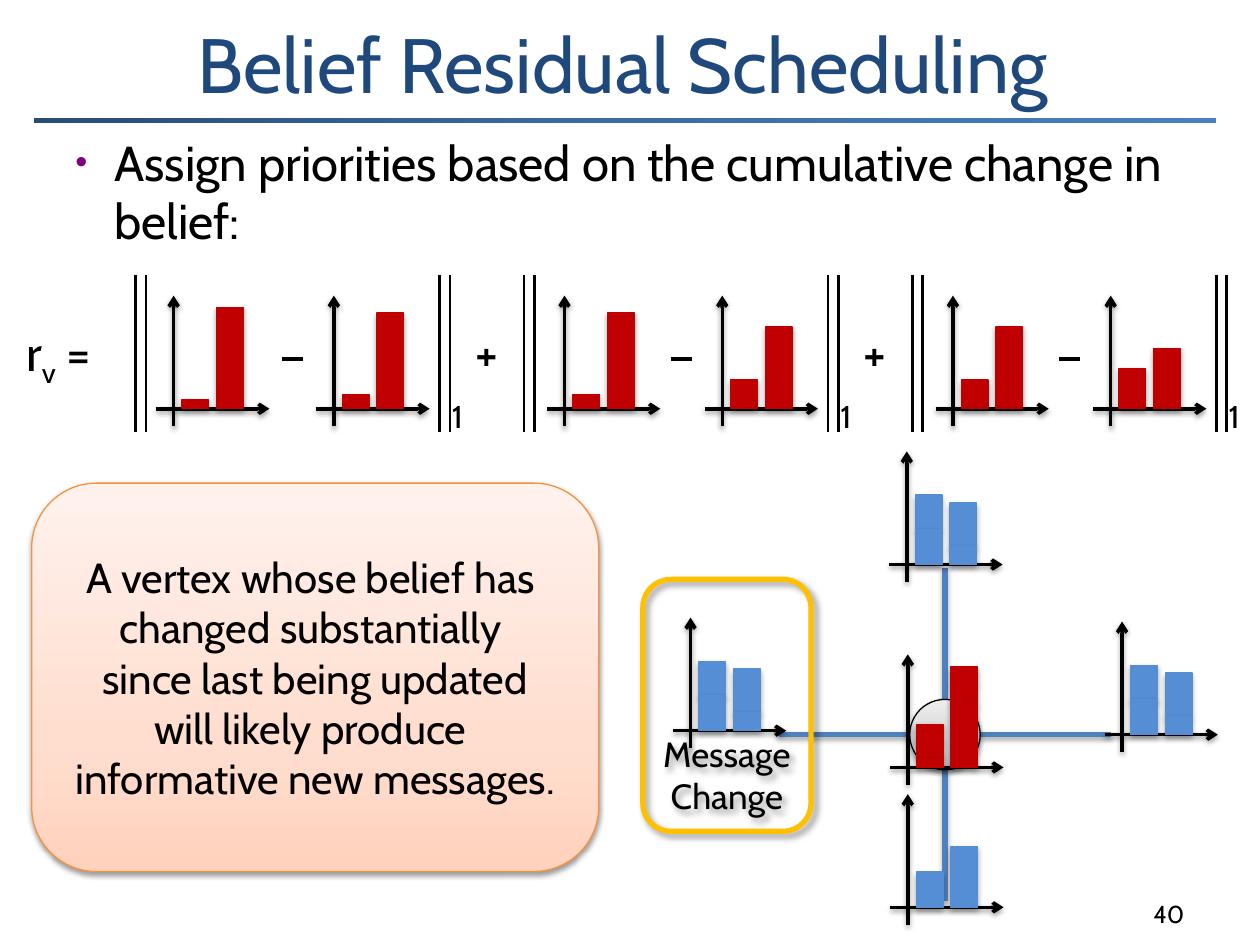
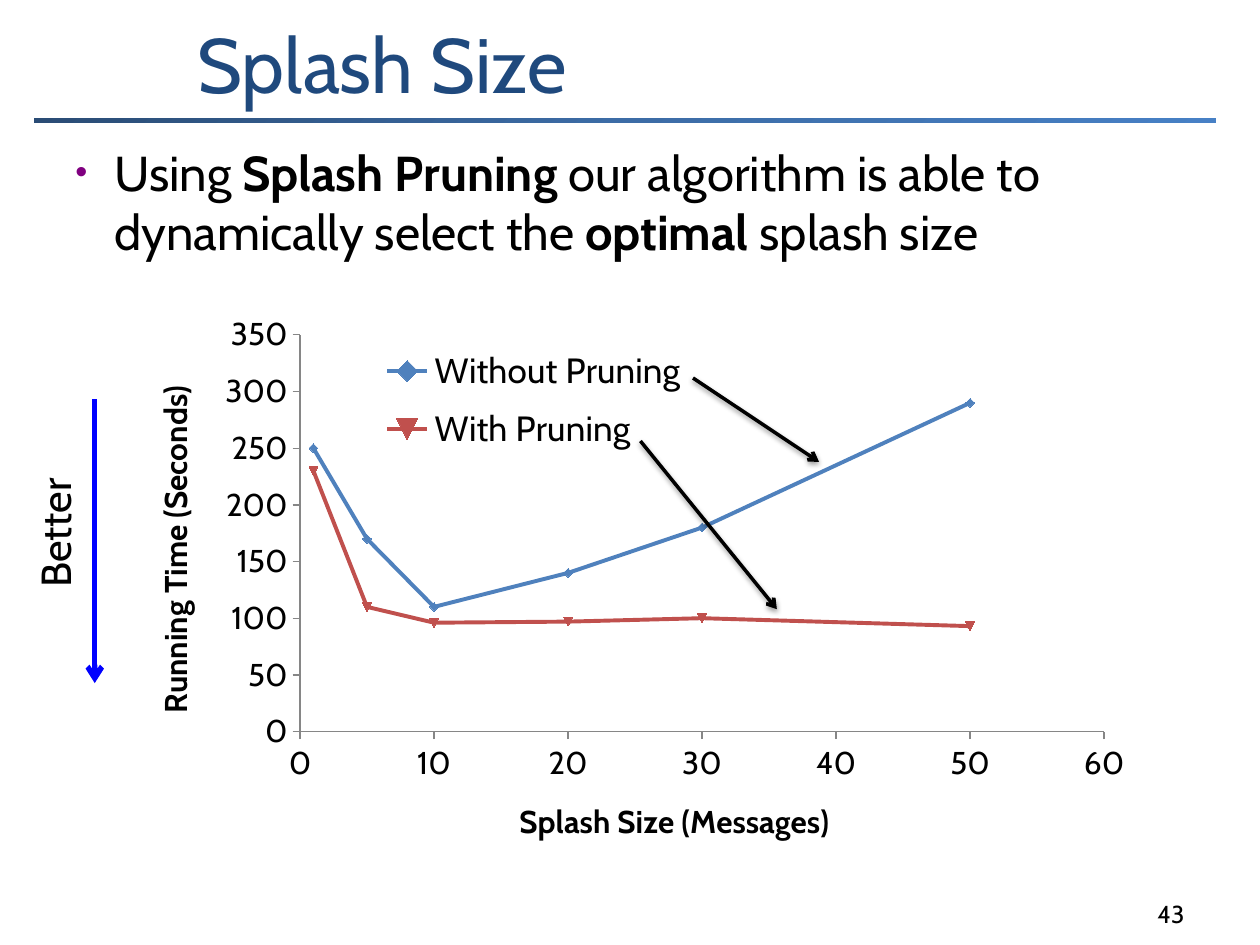
"""Builds two slides on belief residual scheduling and splash size."""
from itertools import pairwise

from lxml import etree
from pptx import Presentation
from pptx import util as u
from pptx.chart.data import XyChartData
from pptx.dml.color import RGBColor
from pptx.enum import chart as chart_enum
from pptx.enum import shapes, text
from pptx.oxml.ns import qn

FONT = "Cabin"
BLACK, WHITE, NAVY, PURPLE = "000000", "FFFFFF", "1F497D", "800080"
RED, BLUE, EDGE, AMBER, ORANGE = "C00000", "558ED5", "4F81BD", "FFC000", "F69240"
AXIS_GREY, PURE_BLUE = "868686", "0000FF"
BAND_FILL = (45, [(0, "2A4C75"), (50, "3C6CA6"), (100, "4780C5")])
VERTEX_FILL = (270, [(0, "BDBDBD"), (35, "D1D1D1"), (100, "EEEEEE")])
NOTE_FILL = (270, [(0, "FFD2BD"), (35, "FFDED0"), (100, "FFF2ED")])
SOFT = (38, 3.1, 1.6, 90)
FLAT = (35, 3.1, 1.8, 90)
DIAGONAL = (40, 4, 3, 45)
LEFT, CENTER, RIGHT = text.PP_ALIGN.LEFT, text.PP_ALIGN.CENTER, text.PP_ALIGN.RIGHT
TOP, MIDDLE, BOTTOM = text.MSO_ANCHOR.TOP, text.MSO_ANCHOR.MIDDLE, text.MSO_ANCHOR.BOTTOM

SCHEDULING = {
    "title": "Belief Residual Scheduling",
    "body": [("Assign priorities based on the cumulative change in belief:", {})],
    "body_frame": (1.27, 2.54, 23.06, 2.54),
    "number": "40",
}
SPLASH = {
    "title": "Splash Size",
    "body": [
        ("Using ", {}),
        ("Splash Pruning", {"bold": True}),
        (" our algorithm is able to dynamically select the ", {}),
        ("optimal", {"bold": True}),
        (" splash size", {}),
    ],
    "body_frame": (1.27, 2.75, 23.06, 2.96),
    "number": "43",
}
RESIDUAL = [("r", {}), ("v", {"baseline": -25}), (" =", {})]
NOTE = [
    "A vertex whose belief has ",
    "changed substantially ",
    "since last being updated",
    "will likely produce ",
    "informative new messages.",
]

BELIEFS = [(0.18, 2.04), (0.28, 1.93), (0.58, 1.65), (0.81, 1.22)]
NORM_LEFT, NORM_PITCH, NORM_TOP, NORM_BOTTOM = 2.73, 7.83, 5.54, 8.71
NORM_BARS = (0, 0.21, 6.13, 6.34)
NEW_ORIGINS, OLD_ORIGIN, BELIEF_BASE = (0.77, 0.82, 0.82), 4, 8.24

VERTEX_X, VERTEX_Y, VERTEX_RADIUS, EDGE_LENGTH = 19.05, 14.81, 0.71, 2.64
DIRECTIONS = [(1, 0), (0, -1), (-1, 0), (0, 1)]
MESSAGE = [(0.7, 0.7), (0.36, 0.88)]
HISTOGRAMS = [
    (13.92, 14.73, MESSAGE, BLUE),
    (18.28, 11.38, MESSAGE, BLUE),
    (22.62, 14.81, MESSAGE, BLUE),
    (18.3, 18.29, [(0.71,), (1.23,)], BLUE),
    (18.3, 15.47, [(0.18, 0.1, 0.25, 0.33), (1.27, 0.43, 0.2, 0.13)], RED),
]

SPLASH_SIZES = [1, 5, 10, 20, 30, 50]
RUNNING_TIMES = [
    ("Without Pruning", EDGE, [250, 170, 110, 140, 180, 290]),
    ("With Pruning", "C0504D", [230, 110, 96, 97, 100, 93]),
]
CALLOUTS = [((13.97, 7.62), (16.51, 9.31)), ((12.91, 8.89), (15.66, 12.28))]


def color(value):
    return RGBColor.from_string(value)


def add_child(parent, tag, **attributes):
    child = etree.SubElement(parent, qn(tag))
    for name, value in attributes.items():
        child.set(name, str(value))
    return child


def set_shadow(properties, shadow):
    effects = properties.find(qn("a:effectLst"))
    if effects is None:
        effects = add_child(properties, "a:effectLst")
    if shadow:
        alpha, blur, distance, angle = shadow
        outer = add_child(effects, "a:outerShdw", blurRad=u.Pt(blur), dist=u.Pt(distance),
                          dir=angle * 60000, rotWithShape=0)
        tint = add_child(outer, "a:srgbClr", val=BLACK)
        add_child(tint, "a:alpha", val=alpha * 1000)


def set_fill(shape, fill):
    if fill is None:
        shape.fill.background()
    elif isinstance(fill, str):
        shape.fill.solid()
        shape.fill.fore_color.rgb = color(fill)
    else:
        angle, stops = fill
        shape.fill.gradient()
        gradient = shape._element.spPr.find(qn("a:gradFill"))
        for child in list(gradient):
            gradient.remove(child)
        stop_list = add_child(gradient, "a:gsLst")
        for position, value in stops:
            stop = add_child(stop_list, "a:gs", pos=position * 1000)
            add_child(stop, "a:srgbClr", val=value)
        add_child(gradient, "a:lin", ang=angle * 60000, scaled=0)


def add_box(slide, kind, frame, fill, line, width=0.75, shadow=None):
    shape = slide.shapes.add_shape(kind, *map(u.Cm, frame))
    shape.shadow.inherit = False
    set_fill(shape, fill)
    shape.line.color.rgb = color(line)
    shape.line.width = u.Pt(width)
    set_shadow(shape._element.spPr, shadow)
    return shape


def add_line(slide, start, end, line=BLACK, width=2.0, arrow=False, shadow=None):
    connector = slide.shapes.add_connector(
        shapes.MSO_CONNECTOR.STRAIGHT, *map(u.Cm, (*start, *end)))
    connector.line.color.rgb = color(line)
    connector.line.width = u.Pt(width)
    properties = connector._element.spPr
    if arrow:
        add_child(properties.find(qn("a:ln")), "a:tailEnd", type="arrow")
    set_shadow(properties, shadow)


def write(shape, paragraphs, size, align=LEFT, anchor=TOP, wrap=True, ink=BLACK):
    frame = shape.text_frame
    frame.word_wrap = wrap
    frame.vertical_anchor = anchor
    for index, runs in enumerate(paragraphs):
        paragraph = frame.add_paragraph() if index else frame.paragraphs[0]
        paragraph.alignment = align
        for words, style in runs:
            run = paragraph.add_run()
            run.text = words
            run.font.name = FONT
            run.font.size = u.Pt(size)
            run.font.bold = style.get("bold", False)
            run.font.color.rgb = color(ink)
            if "baseline" in style:
                run.font._element.set("baseline", str(style["baseline"] * 1000))


def add_label(slide, frame, runs, size, grow=False, **options):
    label = slide.shapes.add_textbox(*map(u.Cm, frame))
    write(label, [runs], size, **options)
    if grow:
        label.text_frame.auto_size = text.MSO_AUTO_SIZE.SHAPE_TO_FIT_TEXT
    return label


def add_bullet(paragraph):
    properties = paragraph._p.get_or_add_pPr()
    properties.set("marL", str(u.Cm(0.79)))
    properties.set("indent", str(-u.Cm(0.79)))
    add_child(add_child(properties, "a:spcBef"), "a:spcPct", val=20000)
    add_child(add_child(properties, "a:buClr"), "a:srgbClr", val=PURPLE)
    add_child(properties, "a:buSzPct", val=70000)
    add_child(properties, "a:buFont", typeface="Arial")
    add_child(properties, "a:buChar", char="•")


def add_base_slide(presentation, content):
    slide = presentation.slides.add_slide(presentation.slide_layouts[6])
    add_box(slide, shapes.MSO_SHAPE.RECTANGLE, (0.64, 2.33, 23.92, 0.21), BAND_FILL, WHITE, 3)
    add_label(slide, (3.73, 0.2, 20.83, 2.12), [(content["title"], {})], 44,
              anchor=BOTTOM, ink=NAVY)
    body = add_label(slide, content["body_frame"], content["body"], 28)
    add_bullet(body.text_frame.paragraphs[0])
    add_label(slide, (18.84, 17.58, 5.29, 1.27), [(content["number"], {})], 14,
              align=RIGHT, anchor=BOTTOM)
    return slide


def add_histogram(slide, x, y, stacks, fill):
    add_line(slide, (x - 0.35, y), (x + 1.93, y), arrow=True, shadow=SOFT)
    add_line(slide, (x, y + 0.35), (x, y - 2.28), arrow=True, shadow=SOFT)
    for offset, stack in zip((0.17, 0.87), stacks):
        top = y - sum(stack)
        for height in reversed(stack):
            add_box(slide, shapes.MSO_SHAPE.RECTANGLE, (x + offset, top, 0.54, height),
                    fill, fill, shadow=FLAT)
            top += height


def add_norm(slide, left, new_origin, beliefs):
    for offset in NORM_BARS:
        add_line(slide, (left + offset, NORM_TOP), (left + offset, NORM_BOTTOM), width=1.5)
    for offset, heights in zip((new_origin, OLD_ORIGIN), beliefs):
        add_histogram(slide, left + offset, BELIEF_BASE, [(height,) for height in heights], RED)
    add_line(slide, (left + 2.96, 7.24), (left + 3.38, 7.24), width=2.25)
    add_label(slide, (left + NORM_BARS[2], 7.87, 0.86, 1.02), [("1", {})], 18,
              grow=True, wrap=False)


def build_scheduling(presentation):
    slide = add_base_slide(presentation, SCHEDULING)
    add_label(slide, (0.28, 6.38, 2.24, 1.45), RESIDUAL, 28, grow=True, wrap=False)
    for index, (new_origin, beliefs) in enumerate(zip(NEW_ORIGINS, pairwise(BELIEFS))):
        left = NORM_LEFT + index * NORM_PITCH
        add_norm(slide, left, new_origin, beliefs)
        if index:
            add_label(slide, (left - 1.47, 6.38, 1.45, 1.45), [("+", {})], 28,
                      grow=True, align=CENTER)

    reach = VERTEX_RADIUS + EDGE_LENGTH
    for dx, dy in DIRECTIONS:
        start = (VERTEX_X + dx * VERTEX_RADIUS, VERTEX_Y + dy * VERTEX_RADIUS)
        end = (VERTEX_X + dx * reach, VERTEX_Y + dy * reach)
        add_line(slide, start, end, EDGE, 3, shadow=FLAT)
    add_box(slide, shapes.MSO_SHAPE.OVAL,
            (VERTEX_X - VERTEX_RADIUS, VERTEX_Y - VERTEX_RADIUS,
             2 * VERTEX_RADIUS, 2 * VERTEX_RADIUS), VERTEX_FILL, BLACK, shadow=SOFT)
    for histogram in HISTOGRAMS:
        add_histogram(slide, *histogram)

    rounded = shapes.MSO_SHAPE.ROUNDED_RECTANGLE
    change = add_box(slide, rounded, (12.96, 11.68, 3.39, 5.08), None, AMBER, 3, DIAGONAL)
    write(change, [[("Message", {})], [("Change", {})]], 20, CENTER, BOTTOM, wrap=False)
    note = add_box(slide, rounded, (0.64, 9.74, 11.43, 7.83), NOTE_FILL, ORANGE, shadow=SOFT)
    write(note, [[(line, {})] for line in NOTE], 24, CENTER, MIDDLE, wrap=False)


def place(element, index, **fractions):
    old = element.find(qn("c:layout"))
    if old is not None:
        element.remove(old)
    layout = etree.Element(qn("c:layout"))
    element.insert(index, layout)
    manual = add_child(layout, "c:manualLayout")
    if index == 0:
        add_child(manual, "c:layoutTarget", val="inner")
    add_child(manual, "c:xMode", val="edge")
    add_child(manual, "c:yMode", val="edge")
    for name, value in fractions.items():
        add_child(manual, f"c:{name}", val=value)


def style_axis(axis, title, maximum, step, x, y):
    axis.minimum_scale, axis.maximum_scale, axis.major_unit = 0, maximum, step
    axis.has_major_gridlines = False
    axis.major_tick_mark = chart_enum.XL_TICK_MARK.OUTSIDE
    axis.format.line.color.rgb = color(AXIS_GREY)
    axis.format.line.width = u.Pt(0.75)
    paragraph = axis.axis_title.text_frame.paragraphs[0]
    run = paragraph.add_run()
    run.text = title
    run.font.name, run.font.size, run.font.bold = FONT, u.Pt(18), True
    run.font.color.rgb = color(BLACK)
    place(axis.axis_title._element, 1, x=x, y=y)


def add_running_time_chart(slide):
    data = XyChartData()
    for name, _, times in RUNNING_TIMES:
        series = data.add_series(name)
        for size, time in zip(SPLASH_SIZES, times):
            series.add_data_point(size, time)
    chart = slide.shapes.add_chart(chart_enum.XL_CHART_TYPE.XY_SCATTER_LINES,
                                   *map(u.Cm, (2.56, 6.18, 20.52, 11.43)), data).chart
    chart.has_title = False
    chart.font.name, chart.font.size = FONT, u.Pt(18)
    chart.font.color.rgb = color(BLACK)
    chart.plots[0].vary_by_categories = False
    for series, (_, ink, _) in zip(chart.plots[0].series, RUNNING_TIMES):
        series.smooth = False
        series.format.line.color.rgb = color(ink)
        series.format.line.width = u.Pt(2.25)
        series.marker.format.fill.solid()
        series.marker.format.fill.fore_color.rgb = color(ink)
        series.marker.format.line.color.rgb = color(ink)
    style_axis(chart.category_axis, "Splash Size (Messages)", 60, 10, 0.38, 0.86)
    style_axis(chart.value_axis, "Running Time (Seconds)", 350, 50, 0.02, 0.13)
    body = chart.value_axis.axis_title.text_frame._txBody.find(qn("a:bodyPr"))
    body.set("rot", "-5400000")
    body.set("vert", "horz")
    chart.has_legend = True
    chart.legend.position = chart_enum.XL_LEGEND_POSITION.RIGHT
    chart.legend.include_in_layout = True
    chart.legend.font.name, chart.legend.font.size = FONT, u.Pt(20)
    chart.legend.font.color.rgb = color(BLACK)
    place(chart.legend._element, 1, x=0.25, y=0.05, w=0.3, h=0.23)
    place(chart._chartSpace.chart.plotArea, 0, x=0.17, y=0.05, w=0.79, h=0.7)


def build_splash(presentation):
    slide = add_base_slide(presentation, SPLASH)
    add_running_time_chart(slide)
    add_line(slide, (1.91, 8.05), (1.91, 13.77), PURE_BLUE, 3, arrow=True)
    better = add_label(slide, (-1.4, 10.11, 5, 1.27), [("Better", {})], 24,
                       grow=True, align=CENTER)
    better.rotation = 270
    for start, end in CALLOUTS:
        add_line(slide, start, end, arrow=True, shadow=SOFT)


def main():
    presentation = Presentation()
    presentation.slide_width, presentation.slide_height = u.Cm(25.4), u.Cm(19.05)
    build_scheduling(presentation)
    build_splash(presentation)
    presentation.save("out.pptx")


if __name__ == "__main__":
    main()
